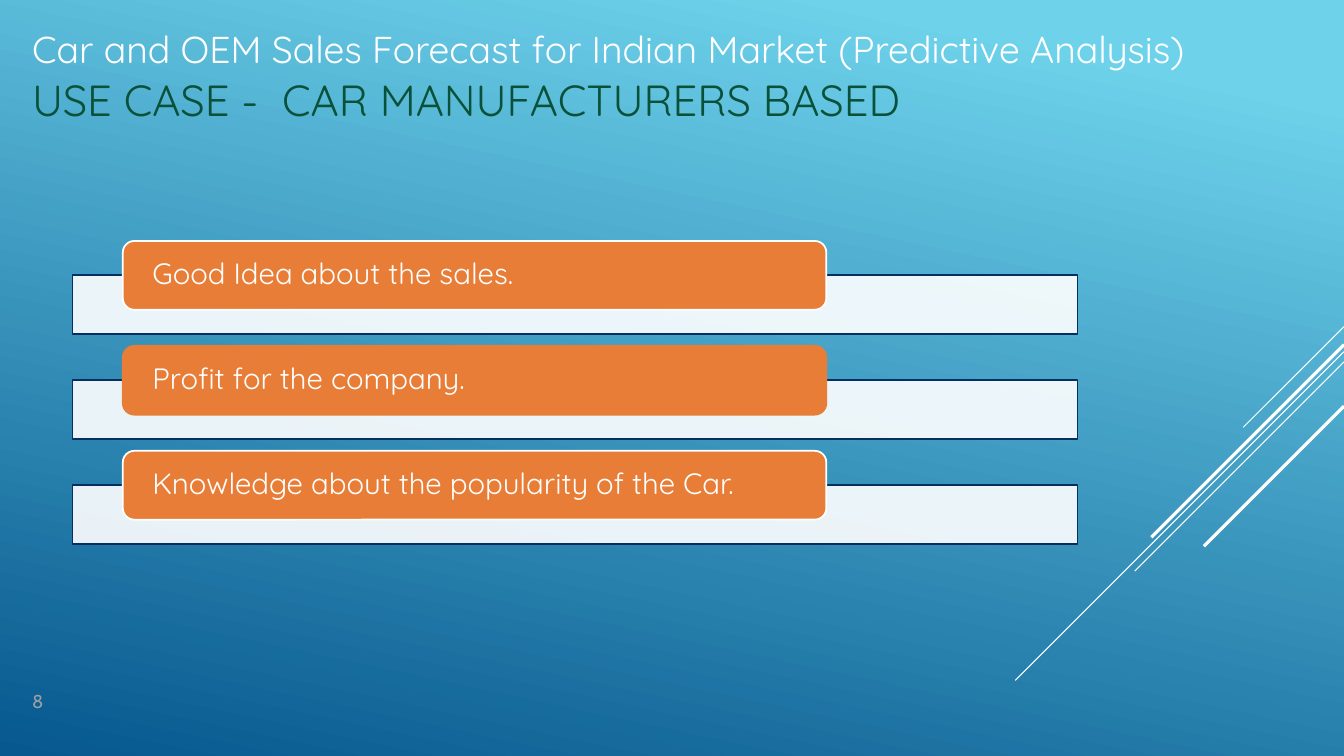
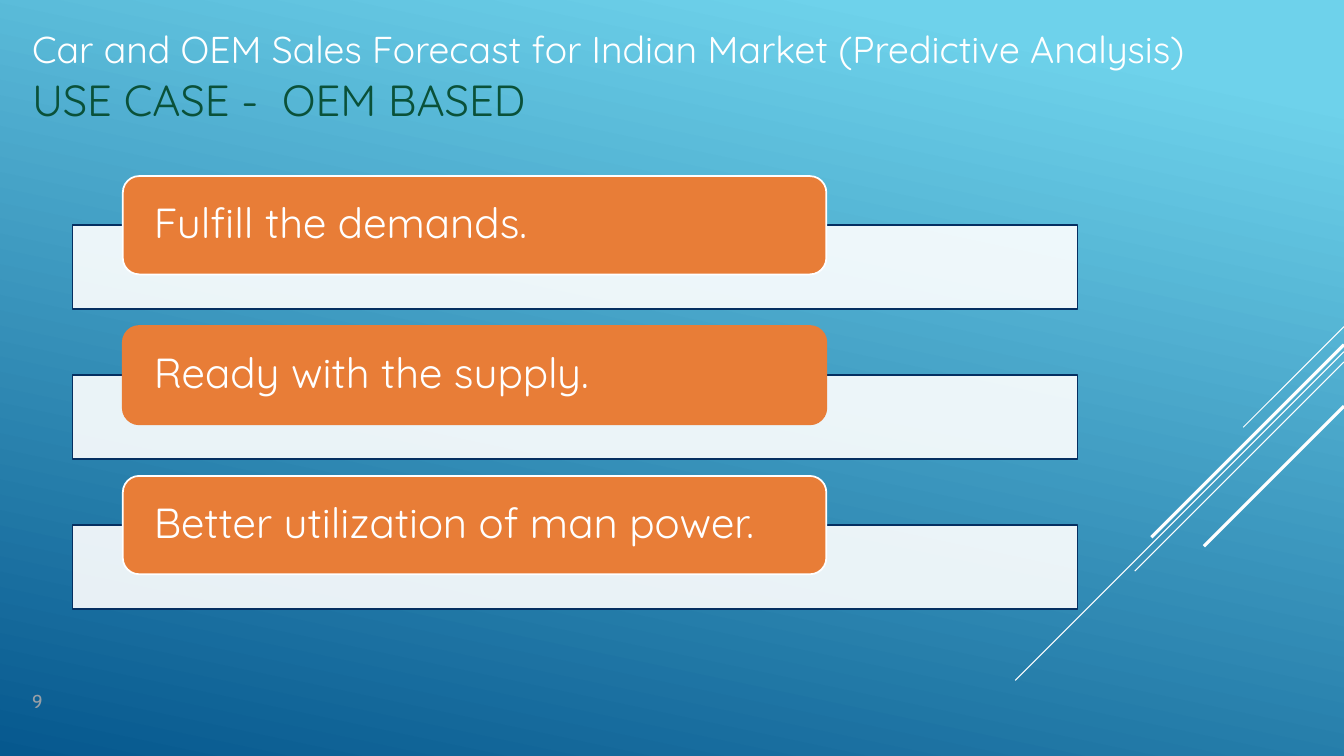
from dataclasses import dataclass

from lxml import etree
from pptx import Presentation
from pptx import util as u
from pptx.dml.color import RGBColor
from pptx.enum import shapes, text
from pptx.oxml.ns import qn
from pptx.shapes.autoshape import Shape
from pptx.slide import Slide

WIDTH, HEIGHT = u.Inches(13.33), u.Inches(7.5)
COLUMN, ROW = WIDTH / 100, HEIGHT / 100  # lengths below are shares in percent


@dataclass(frozen=True)
class Theme:
    sky: str = "6ED2EB"
    ocean: str = "06588E"
    white: str = "FFFFFF"
    navy: str = "052F61"
    orange: str = "E87D37"
    green: str = "0A5139"
    grey: str = "999FA6"
    body_font: str = "Quicksand"
    number_font: str = "Cabin"
    project_size: float = 26.7
    title_size: float = 31.1
    number_size: float = 13.3
    outline: float = 1.25
    tight: float = 0.89


@dataclass(frozen=True)
class Box:
    """A rectangle in columns and rows."""
    left: float
    top: float
    width: float
    height: float

    def emu(self) -> tuple[int, int, int, int]:
        return (round(self.left * COLUMN), round(self.top * ROW),
                round(self.width * COLUMN), round(self.height * ROW))


@dataclass(frozen=True)
class Ray:
    """A 45-degree line from the right edge; lengths in rows."""
    top: float
    reach: float
    weight: float


@dataclass(frozen=True)
class UseCase:
    number: int
    title: str
    benefits: tuple[str, ...]
    size: int


THEME = Theme()
PROJECT = "Car and OEM Sales Forecast for Indian Market (Predictive Analysis)"
PROJECT_BOX = Box(2.4, 4.13, 95.25, 6.27)
TITLE_BOX = Box(2.4, 10.5, 95.25, 6.27)
NUMBER_BOX = Box(2.4, 91.2, 2.63, 6.67)

RAYS = (
    Ray(43.2, 13.33, 0.75),
    Ray(46.53, 43.47, 0.75),
    Ray(47.87, 27.67, 0.75),
    Ray(45.6, 25.47, 2.25),
    Ray(53.73, 18.53, 2.25),
)

# The list scales with its type size: heights are multiples of that size.
BAR_LEFT, BAR_WIDTH = 5.4, 74.78
LABEL_INDENT, LABEL_SHARE = 0.05, 0.7
LIST_MIDDLE = 51.9
BAR_EMS, LABEL_EMS, LIFT_EMS, PITCH_EMS = 2, 2.34, 1.16, 3.57

USE_CASES = (
    UseCase(8, "USE CASE -  CAR MANUFACTURERS BASED",
            ("Good Idea about the sales.", "Profit for the company.",
             "Knowledge about the popularity of the Car."), 21),
    UseCase(9, "USE CASE -  OEM BASED",
            ("Fulfill the demands.", "Ready with the supply.",
             "Better utilization of man power."), 30),
)


def rgb(color: str) -> RGBColor:
    return RGBColor.from_string(color)


def write(shape: Shape, words: str, size: float, color: str, font: str = THEME.body_font,
          spacing: float = 1.0, inset: float = 0, wrap: bool = True,
          anchor: text.MSO_ANCHOR = text.MSO_ANCHOR.TOP) -> None:
    frame = shape.text_frame
    frame.word_wrap = wrap
    frame.vertical_anchor = anchor
    frame.margin_left = frame.margin_right = u.Inches(inset)
    frame.margin_top = frame.margin_bottom = 0
    paragraph = frame.paragraphs[0]
    paragraph.text = words
    paragraph.alignment = text.PP_ALIGN.LEFT
    paragraph.line_spacing = spacing
    paragraph.font.name = font
    paragraph.font.size = u.Pt(size)
    paragraph.font.color.rgb = rgb(color)


def add_panel(slide: Slide, kind: shapes.MSO_SHAPE, box: Box, fill: str, line: str) -> Shape:
    panel = slide.shapes.add_shape(kind, *box.emu())
    panel.shadow.inherit = False
    panel.fill.solid()
    panel.fill.fore_color.rgb = rgb(fill)
    panel.line.color.rgb = rgb(line)
    panel.line.width = u.Pt(THEME.outline)
    return panel


def set_opacity(shape: Shape, percent: int) -> None:
    color = shape.fill._xPr.find(qn("a:solidFill"))[0]
    etree.SubElement(color, qn("a:alpha"), val=str(percent * 1000))


def paint_background(deck: Presentation) -> None:
    fill = deck.slide_master.background.fill
    fill.gradient()
    fill.gradient_angle = 258
    stops = ((0.1, THEME.sky), (1.0, THEME.ocean))
    for stop, (position, color) in zip(fill.gradient_stops, stops):
        stop.position = position
        stop.color.rgb = rgb(color)


def add_ray(slide: Slide, ray: Ray) -> None:
    top, reach = round(ray.top * ROW), round(ray.reach * ROW)
    line = slide.shapes.add_connector(
        shapes.MSO_CONNECTOR.STRAIGHT, WIDTH, top, WIDTH - reach, top + reach)
    line.line.color.rgb = rgb(THEME.white)
    line.line.width = u.Pt(ray.weight)
    etree.SubElement(line._element.spPr, qn("a:effectLst"))


def add_frame(slide: Slide, case: UseCase) -> None:
    """Draw the rays, headings and slide number."""
    for ray in RAYS:
        add_ray(slide, ray)
    project, number, title = (slide.shapes.add_textbox(*box.emu())
                              for box in (PROJECT_BOX, NUMBER_BOX, TITLE_BOX))
    write(project, PROJECT, THEME.project_size, THEME.white, spacing=THEME.tight)
    write(number, str(case.number), THEME.number_size, THEME.grey,
          font=THEME.number_font, wrap=False)
    write(title, case.title, THEME.title_size, THEME.green, spacing=THEME.tight)


def add_benefits(slide: Slide, case: UseCase) -> None:
    em = u.Pt(case.size) / ROW
    list_ems = LIFT_EMS + PITCH_EMS * (len(case.benefits) - 1) + BAR_EMS
    first_top = LIST_MIDDLE - list_ems * em / 2
    label_left = BAR_LEFT + LABEL_INDENT * BAR_WIDTH
    for index, benefit in enumerate(case.benefits):
        top = first_top + index * PITCH_EMS * em
        bar = add_panel(slide, shapes.MSO_SHAPE.RECTANGLE,
                        Box(BAR_LEFT, top + LIFT_EMS * em, BAR_WIDTH, BAR_EMS * em),
                        THEME.white, THEME.navy)
        set_opacity(bar, 90)
        label = add_panel(slide, shapes.MSO_SHAPE.ROUNDED_RECTANGLE,
                          Box(label_left, top, LABEL_SHARE * BAR_WIDTH, LABEL_EMS * em),
                          THEME.orange, THEME.orange if index % 2 else THEME.white)
        write(label, benefit, case.size, THEME.white, spacing=0.9, inset=0.26,
              anchor=text.MSO_ANCHOR.MIDDLE)


def main() -> None:
    deck = Presentation()
    deck.slide_width, deck.slide_height = WIDTH, HEIGHT
    paint_background(deck)
    blank = deck.slide_layouts[6]
    for case in USE_CASES:
        slide = deck.slides.add_slide(blank)
        add_frame(slide, case)
        add_benefits(slide, case)
    deck.save("out.pptx")


if __name__ == "__main__":
    main()
